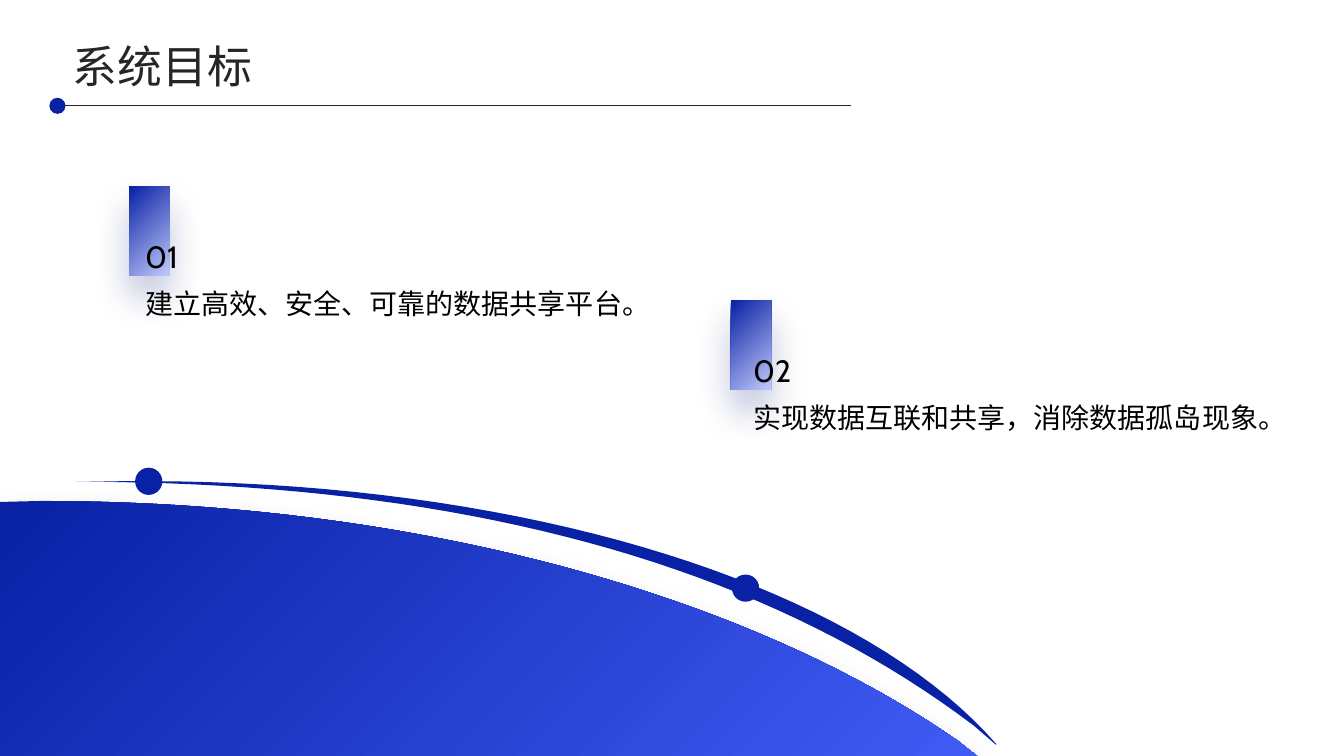
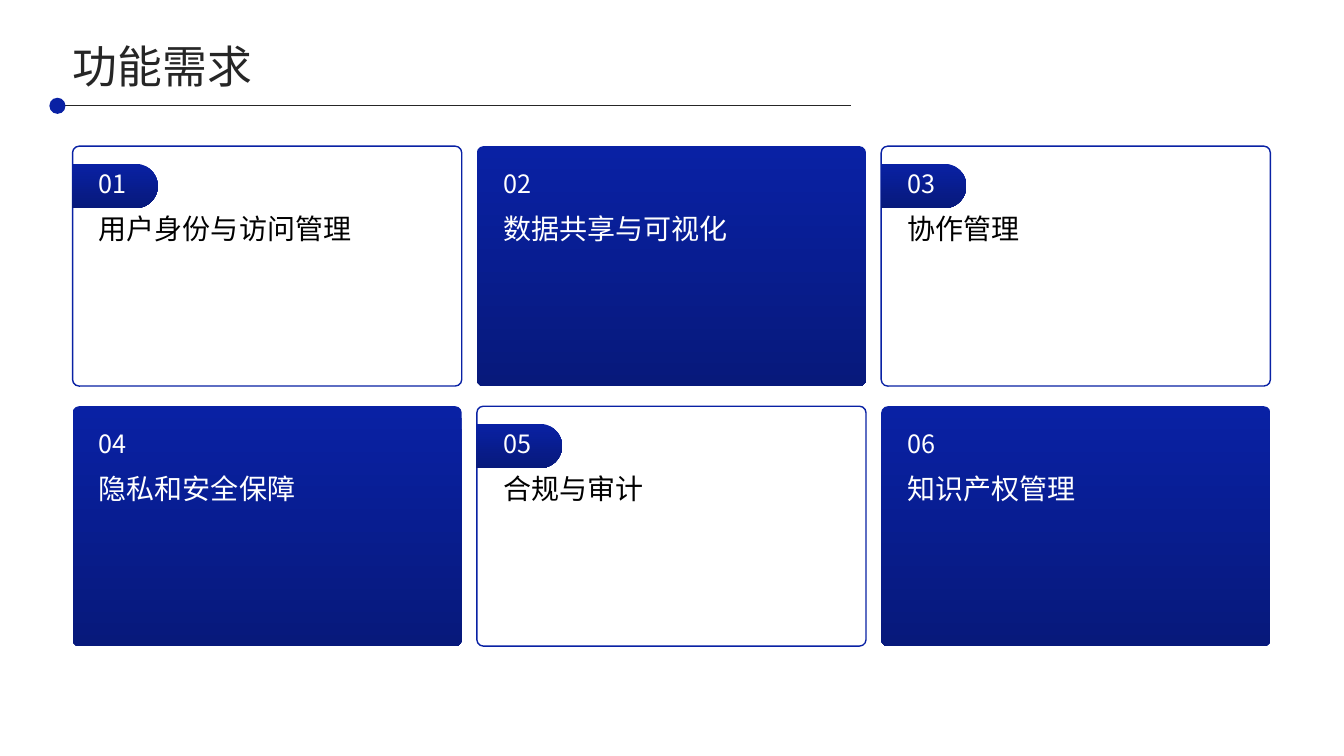
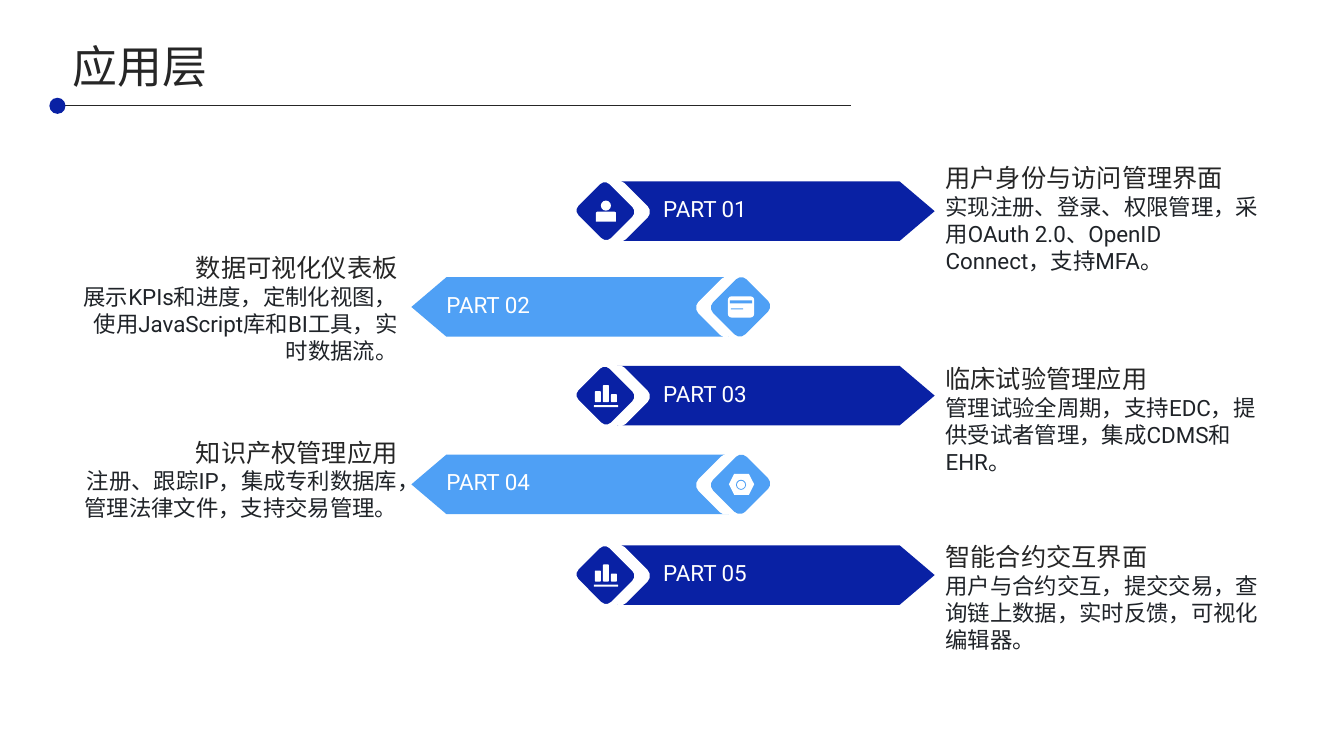
import pptx
import pptx.util
import pptx.dml.color
import pptx.enum.shapes
import pptx.enum.text
import pptx.oxml.ns
import lxml.etree

Inches = pptx.util.Inches
SHAPE = pptx.enum.shapes.MSO_SHAPE
ANCHOR = pptx.enum.text.MSO_ANCHOR
ALIGN = pptx.enum.text.PP_ALIGN
qn = pptx.oxml.ns.qn

COLOURS = {
    "navy": "0921A4", "deep": "07197B", "royal": "3F5BF4", "pale": "BFC8FB",
    "sky": "4FA0F5", "white": "FFFFFF", "black": "000000",
    "heading": "262626", "body": "1F2328",
}
CJK, ROBOTO, CABIN = "Noto Sans CJK SC", "Roboto", "Cabin"

# name: font, size, colour, line spacing
STYLES = {
    "title": (CJK, 32, "heading", 0.9),
    "number": (CABIN, 22, "black", 0.9),
    "goal": (CJK, 20, "black", 0.9),
    "goal_light": (CJK, 20, "white", 0.9),
    "tag": (CJK, 18, "white", 0.9),
    "part": (ROBOTO, 16, "white", 1.0),
    "caption": (CJK, 18, "heading", 0.9),
    "detail": (ROBOTO, 16, "body", 1.0),
}


def rgb(name):
    return pptx.dml.color.RGBColor.from_string(COLOURS[name])


def paint(shape, fill=None, line=None, angle=90):
    """Fill with a colour name, or a pair of names for a gradient at a clockwise angle."""
    shape.shadow.inherit = False
    if fill is None:
        shape.fill.background()
    elif isinstance(fill, tuple):
        shape.fill.gradient()
        shape.fill.gradient_angle = (360 - angle) % 360
        for stop, name, position in zip(shape.fill.gradient_stops, fill, (0, 1)):
            stop.color.rgb = rgb(name)
            stop.position = position
    else:
        shape.fill.solid()
        shape.fill.fore_color.rgb = rgb(fill)
    if line is None:
        shape.line.fill.background()
    else:
        shape.line.color.rgb = rgb(line)
        shape.line.width = pptx.util.Pt(1)
    return shape


def add_shape(page, kind, box, fill=None, line=None, angle=90, rotation=0, adjust=()):
    shape = page.shapes.add_shape(kind, *map(Inches, box))
    for index, value in enumerate(adjust):
        shape.adjustments[index] = value
    shape.rotation = rotation
    return paint(shape, fill, line, angle)


def add_soft_shadow(shape):
    effects = shape._element.spPr.find(qn("a:effectLst"))
    shadow = lxml.etree.SubElement(
        effects, qn("a:outerShdw"), blurRad=str(pptx.util.Pt(26)),
        dist=str(pptx.util.Pt(15)), dir="5400000", algn="t", rotWithShape="0")
    colour = lxml.etree.SubElement(shadow, qn("a:srgbClr"), val=COLOURS["deep"])
    lxml.etree.SubElement(colour, qn("a:alpha"), val="25000")


def add_text(page, box, lines, anchor=ANCHOR.TOP, align=ALIGN.LEFT, inset=True):
    """Write lines, each a (text, style name) pair, as paragraphs."""
    frame = page.shapes.add_textbox(*map(Inches, box)).text_frame
    frame.word_wrap = True
    frame.vertical_anchor = anchor
    if not inset:
        frame.margin_left = frame.margin_right = frame.margin_top = frame.margin_bottom = 0
    for index, (text, style) in enumerate(lines):
        para = frame.add_paragraph() if index else frame.paragraphs[0]
        font, size, colour, spacing = STYLES[style]
        para.text = text
        para.alignment = align
        para.line_spacing = spacing
        for span in para.runs:
            span.font.size = pptx.util.Pt(size)
            span.font.name = font
            span.font.color.rgb = rgb(colour)
            lxml.etree.SubElement(span.font._element, qn("a:ea"), typeface=font)


def curve(start, pull_start, pull_end, end, steps=40):
    """Points along a cubic curve."""
    points = []
    for step in range(steps + 1):
        t = step / steps
        weights = ((1 - t) ** 3, 3 * t * (1 - t) ** 2, 3 * t * t * (1 - t), t ** 3)
        corners = (start, pull_start, pull_end, end)
        points.append(tuple(sum(w * c[axis] for w, c in zip(weights, corners))
                            for axis in (0, 1)))
    return points


def add_outline(page, points, fill, angle=90):
    points = [(Inches(x), Inches(y)) for x, y in points]
    builder = page.shapes.build_freeform(*points[0])
    builder.add_line_segments(points[1:], close=True)
    return paint(builder.convert_to_shape(), fill, angle=angle)


def add_page(deck, title):
    page = deck.slides.add_slide(deck.slide_layouts[6])
    add_text(page, (0.72, 0.43, 11.88, 0.51), [(title, "title")], ANCHOR.MIDDLE, inset=False)
    rule = page.shapes.add_connector(
        pptx.enum.shapes.MSO_CONNECTOR.STRAIGHT,
        Inches(0.56), Inches(1.05), Inches(8.44), Inches(1.05))
    rule.line.color.rgb = rgb("heading")
    rule.line.width = pptx.util.Pt(0.75)
    lxml.etree.SubElement(rule._element.spPr, qn("a:effectLst"))
    add_shape(page, SHAPE.OVAL, (0.49, 0.97, 0.16, 0.16), "navy")
    return page


def add_hill(page):
    hill = add_outline(
        page, curve((0.41, 4.97), (4.13, 4.97), (7.43, 5.91), (9.5, 7.35))
        + [(9.69, 7.5), (0, 7.5), (0, 4.98)], ("navy", "royal"), 45)
    add_soft_shadow(hill)
    add_outline(
        page, [(0.75, 4.78)] + curve((0.88, 4.78), (4.96, 4.68), (8.45, 5.74), (9.88, 7.38))
        + [(9.88, 7.39)] + curve((9.66, 7.2), (7.51, 5.57), (4.54, 4.79), (0.84, 4.78)), "navy")
    for left, top in ((1.34, 4.64), (7.26, 5.7)):
        add_shape(page, SHAPE.OVAL, (left, top, 0.27, 0.27), "navy")


def add_goal(page, left, top, indent, number, text):
    bar = add_shape(page, SHAPE.RECTANGLE, (left, top, 0.4, 0.88), ("navy", "pale"), angle=45)
    add_soft_shadow(bar)
    add_text(page, (left + indent, top + 0.2, 5.12, 0.68), [(number, "number")],
             ANCHOR.BOTTOM, inset=False)
    add_text(page, (left + indent, top + 1.03, 5.12, 1.46), [(text, "goal")], inset=False)


def build_goals(deck):
    page = add_page(deck, "系统目标")
    add_hill(page)
    add_goal(page, 1.28, 1.85, 0.16, "01", "建立高效、安全、可靠的数据共享平台。")
    add_goal(page, 7.25, 2.98, 0.22, "02", "实现数据互联和共享，消除数据孤岛现象。")


def add_card(page, left, top, number, text, filled):
    gradient = ("navy", "deep")
    add_shape(page, SHAPE.ROUNDED_RECTANGLE, (left, top, 3.86, 2.38),
              gradient if filled else None, None if filled else "navy", adjust=(0.027,))
    if not filled:
        add_shape(page, SHAPE.ROUND_2_SAME_RECTANGLE, (left + 0.2, top - 0.03, 0.44, 0.85),
                  gradient, angle=0, rotation=90, adjust=(0.5, 0))
    add_text(page, (left + 0.26, top + 0.22, 0.71, 0.34), [(number, "tag")],
             ANCHOR.MIDDLE, inset=False)
    add_text(page, (left + 0.26, top + 0.69, 3.36, 1.55),
             [(text, "goal_light" if filled else "goal")], inset=False)


def build_functions(deck):
    page = add_page(deck, "功能需求")
    names = ("用户身份与访问管理", "数据共享与可视化", "协作管理",
             "隐私和安全保障", "合规与审计", "知识产权管理")
    for index, name in enumerate(names):
        row, column = divmod(index, 3)
        add_card(page, 0.72 + 4.01 * column, 1.45 + 2.58 * row,
                 f"{index + 1:02}", name, filled=index % 2 == 1)


# Icon parts: shape, box measured from the icon's centre, whether it is white
USER = ((SHAPE.OVAL, (-0.05, -0.11, 0.1, 0.1), True),
        (SHAPE.ROUND_2_SAME_RECTANGLE, (-0.1, 0, 0.2, 0.1), True))
CARD = ((SHAPE.ROUNDED_RECTANGLE, (-0.13, -0.11, 0.26, 0.21), True),
        (SHAPE.RECTANGLE, (-0.11, -0.07, 0.22, 0.03), False),
        (SHAPE.RECTANGLE, (-0.1, 0.01, 0.12, 0.01), False))
NUT = ((SHAPE.HEXAGON, (-0.12, -0.11, 0.25, 0.21), True),
       (SHAPE.OVAL, (-0.05, -0.05, 0.1, 0.1), False),
       (SHAPE.OVAL, (-0.04, -0.04, 0.08, 0.08), True))
BARS = ((SHAPE.ROUNDED_RECTANGLE, (-0.12, 0.09, 0.24, 0.02), True),
        (SHAPE.ROUNDED_RECTANGLE, (-0.11, -0.05, 0.06, 0.11), True),
        (SHAPE.ROUNDED_RECTANGLE, (-0.03, -0.11, 0.06, 0.17), True),
        (SHAPE.ROUNDED_RECTANGLE, (0.05, -0.02, 0.06, 0.08), True))


def add_icon(page, x, y, parts, ground):
    for kind, (left, top, width, height), is_white in parts:
        add_shape(page, kind, (x + left, y + top, width, height),
                  "white" if is_white else ground)


def add_banner(page, left, top, label, icon, to_right):
    """Arrow with a diamond at its tail; pointing left mirrors every part."""
    def place(offset, down, width, height):
        x = left + offset if to_right else left + 3.49 - offset - width
        return x, top + down, width, height

    colour = "navy" if to_right else "sky"
    turn = 315 if to_right else 45
    add_shape(page, SHAPE.PENTAGON, place(0.34, 0, 3.15, 0.59), colour,
              rotation=0 if to_right else 180, adjust=(0.588,))
    add_shape(page, SHAPE.ROUNDED_RECTANGLE, place(0.14, 0.06, 0.45, 0.47),
              "white", "white", rotation=turn)
    diamond = place(0, 0.06, 0.45, 0.47)
    add_shape(page, SHAPE.ROUNDED_RECTANGLE, diamond, colour,
              "white" if to_right else None, rotation=turn)
    add_text(page, place(0.7, 0.09, 2.54, 0.36), [(label, "part")], ANCHOR.MIDDLE)
    add_icon(page, diamond[0] + 0.23, top + 0.3, icon, colour)


def build_application_layer(deck):
    page = add_page(deck, "应用层")
    # banner top, caption top, caption height, icon, heading, detail
    parts = (
        (1.8, 1.6, 1.64, USER, "用户身份与访问管理界面",
         "实现注册、登录、权限管理，采用OAuth 2.0、OpenID Connect，支持MFA。"),
        (2.75, 2.49, 1.73, CARD, "数据可视化仪表板",
         "展示KPIs和进度，定制化视图，使用JavaScript库和BI工具，实时数据流。"),
        (3.63, 3.59, 1.43, BARS, "临床试验管理应用",
         "管理试验全周期，支持EDC，提供受试者管理，集成CDMS和EHR。"),
        (4.51, 4.32, 1.96, NUT, "知识产权管理应用",
         "注册、跟踪IP，集成专利数据库，管理法律文件，支持交易管理。"),
        (5.41, 5.36, 1.26, BARS, "智能合约交互界面",
         "用户与合约交互，提交交易，查询链上数据，实时反馈，可视化编辑器。"),
    )
    for index, (top, caption_top, height, icon, heading, detail) in enumerate(parts):
        to_right = index % 2 == 0
        add_text(page, (9.28 if to_right else 0.72, caption_top, 3.32, height),
                 [(heading, "caption"), (detail, "detail")],
                 align=ALIGN.LEFT if to_right else ALIGN.RIGHT)
        add_banner(page, 5.78 if to_right else 4.08, top, f"PART {index + 1:02}", icon, to_right)


def main():
    deck = pptx.Presentation()
    deck.slide_width, deck.slide_height = Inches(13.33), Inches(7.5)
    build_goals(deck)
    build_functions(deck)
    build_application_layer(deck)
    deck.save("out.pptx")


if __name__ == "__main__":
    main()
